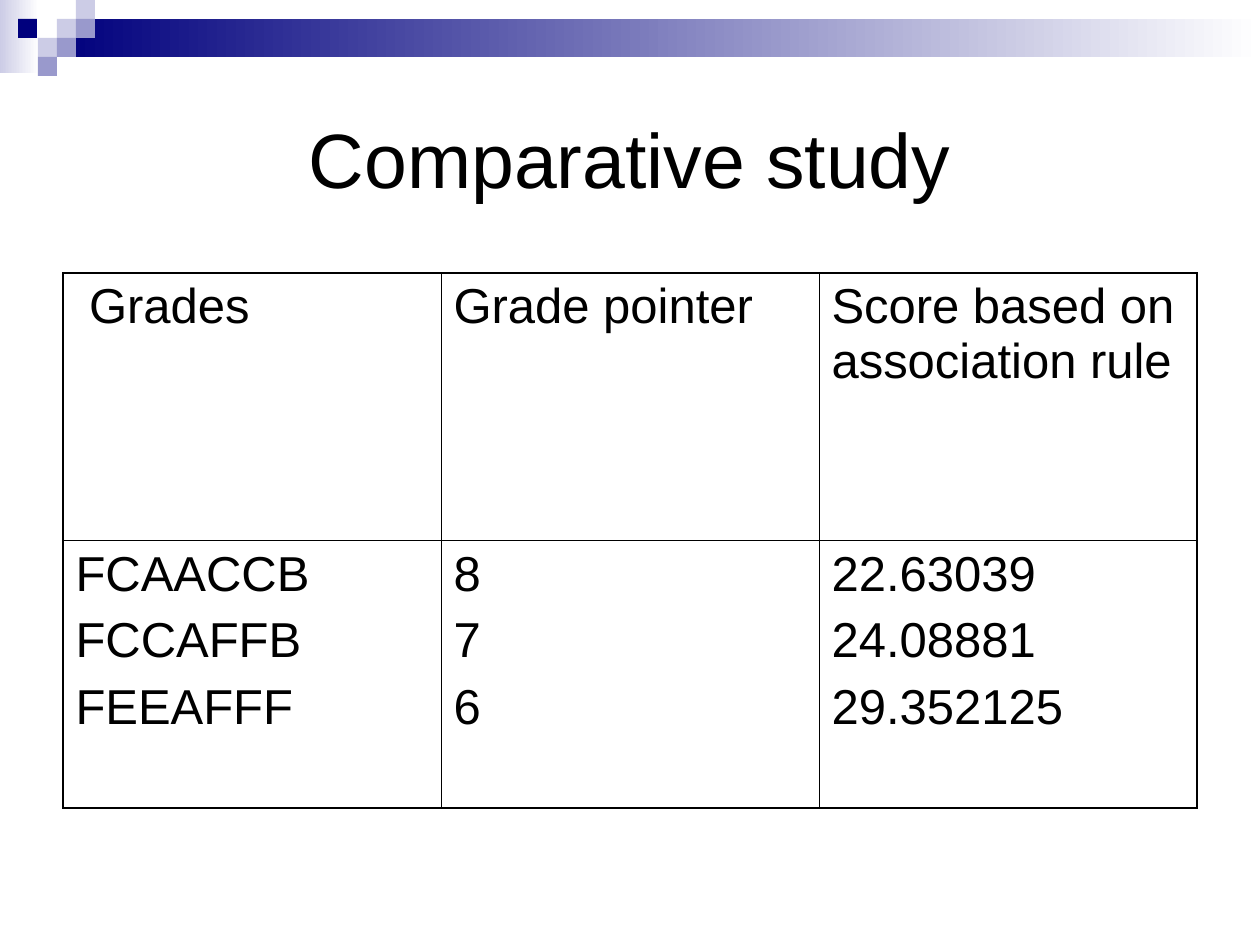
from dataclasses import dataclass

from lxml.etree import SubElement
from pptx import Presentation
from pptx.dml.color import RGBColor
from pptx.enum.shapes import MSO_SHAPE as Shape
from pptx.enum.text import MSO_ANCHOR as Anchor, PP_ALIGN as Align
from pptx.oxml.ns import qn
from pptx.util import Emu, Pt

# Content
TITLE = "Comparative study"
ROWS = [
    [[" Grades"], ["Grade pointer"], ["Score based on association rule"]],
    [
        ["FCAACCB", "FCCAFFB", "FEEAFFF"],
        ["8", "7", "6"],
        ["22.63039", "24.08881", "29.352125"],
    ],
]


@dataclass(frozen=True)
class Theme:
    font: str = "Arial"
    text: str = "000000"
    paper: str = "FFFFFF"
    navy: str = "00007D"
    violet: str = "9999CC"
    lilac: str = "CCCCE6"
    title_size: int = 44
    cell_size: int = 28
    cell_gap: int = 7
    outer_line: float = 1.08
    inner_line: float = 0.45


THEME = Theme()

# Layout in px, 126 to the inch
SLIDE = (1260, 945)
TITLE_BOX = (63, 63, 1134, 189)
TABLE_BOX = (63, 273, 1134, 535)
TILE = 19
TILE_LEFTS = (18, 38, 57, 76)
FADES = [((0, 0, 39, 73), THEME.lilac), ((57, 19, 1203, 38), THEME.navy)]
TILES = [  # column, row, colour
    (2, 1, THEME.lilac),
    (3, 0, THEME.lilac),
    (3, 1, THEME.violet),
    (1, 2, THEME.lilac),
    (0, 1, THEME.navy),
    (2, 2, THEME.violet),
    (1, 3, THEME.violet),
]


def px(value):
    return Emu(round(value * 914400 / 126))


def rgb(colour):
    return RGBColor.from_string(colour)


def write_text(frame, lines, *, size, align=Align.LEFT, space_before=0):
    frame.word_wrap = True
    for index, line in enumerate(lines):
        paragraph = frame.paragraphs[0] if index == 0 else frame.add_paragraph()
        paragraph.alignment = align
        paragraph.space_before = Pt(space_before)
        run = paragraph.add_run()
        run.text = line
        run.font.name = THEME.font
        run.font.size = Pt(size)
        run.font.color.rgb = rgb(THEME.text)


def add_block(slide, box, colour, fade_to=None):
    shape = slide.shapes.add_shape(Shape.RECTANGLE, *map(px, box))
    shape.shadow.inherit = False
    shape.line.fill.background()
    if fade_to:
        shape.fill.gradient()
        shape.fill.gradient_angle = 0
        for stop, position, tone in zip(
            shape.fill.gradient_stops, (0, 1), (colour, fade_to)
        ):
            stop.position = position
            stop.color.rgb = rgb(tone)
    else:
        shape.fill.solid()
        shape.fill.fore_color.rgb = rgb(colour)


def set_borders(cell, outer_sides):
    properties = cell._tc.get_or_add_tcPr()
    for side in "LRTB":
        width = THEME.outer_line if side in outer_sides else THEME.inner_line
        line = SubElement(properties, qn(f"a:ln{side}"), w=str(Pt(width)))
        fill = SubElement(line, qn("a:solidFill"))
        SubElement(fill, qn("a:srgbClr"), val=THEME.text)


def add_grid(slide, rows):
    row_count, column_count = len(rows), len(rows[0])
    table = slide.shapes.add_table(
        row_count, column_count, *map(px, TABLE_BOX)
    ).table
    table.first_row = table.horz_banding = False
    for row, cells in enumerate(rows):
        for column, lines in enumerate(cells):
            cell = table.cell(row, column)
            edges = {
                "L": column == 0,
                "R": column == column_count - 1,
                "T": row == 0,
                "B": row == row_count - 1,
            }
            set_borders(cell, [side for side, outer in edges.items() if outer])
            cell.fill.background()
            write_text(
                cell.text_frame,
                lines,
                size=THEME.cell_size,
                space_before=THEME.cell_gap,
            )


def main():
    presentation = Presentation()
    presentation.slide_width, presentation.slide_height = map(px, SLIDE)
    slide = presentation.slides.add_slide(presentation.slide_layouts[6])

    # Header band and tiles
    for box, colour in FADES:
        add_block(slide, box, colour, fade_to=THEME.paper)
    for column, row, colour in TILES:
        add_block(slide, (TILE_LEFTS[column], row * TILE, TILE, TILE), colour)

    # Title
    title = slide.shapes.add_textbox(*map(px, TITLE_BOX)).text_frame
    title.vertical_anchor = Anchor.MIDDLE
    write_text(title, [TITLE], size=THEME.title_size, align=Align.CENTER)

    # Comparison table
    add_grid(slide, ROWS)

    presentation.save("out.pptx")


if __name__ == "__main__":
    main()
